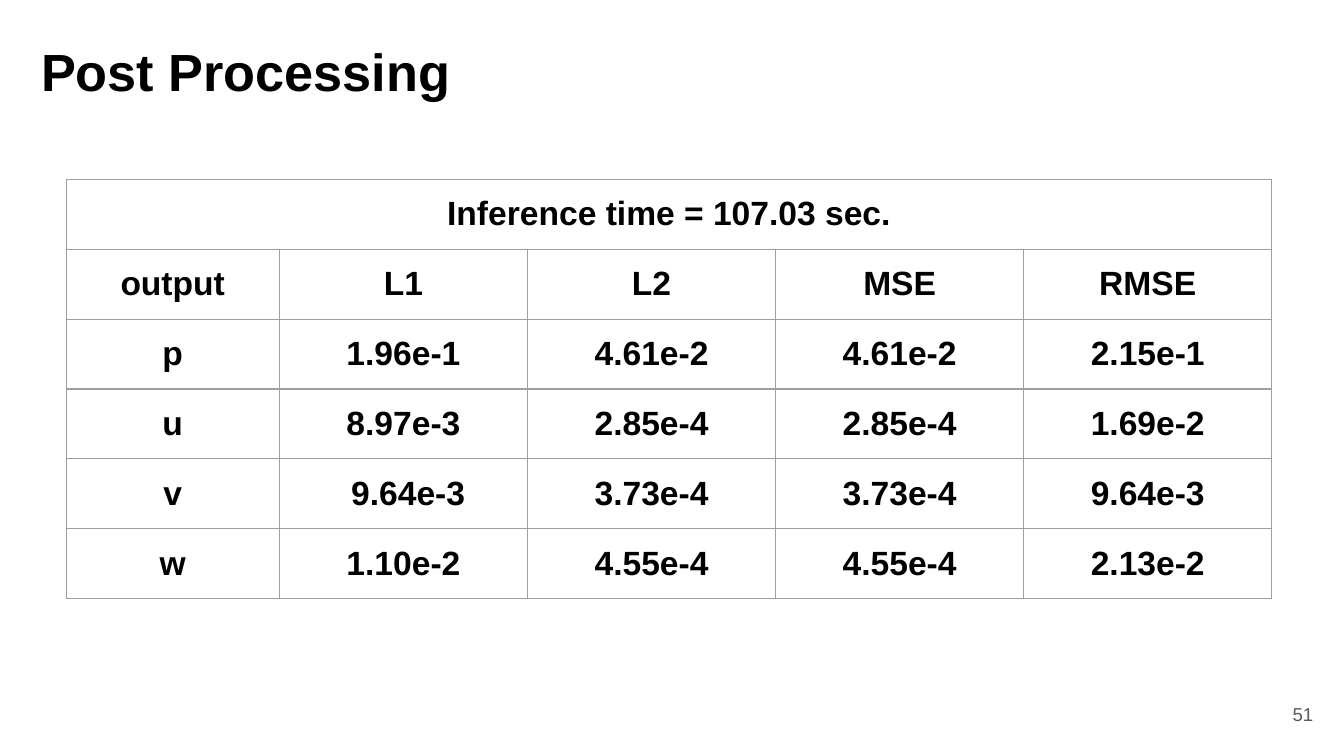
from dataclasses import dataclass

from lxml.etree import SubElement
from pptx import Presentation
from pptx.dml.color import RGBColor
from pptx.enum.text import MSO_ANCHOR, PP_ALIGN
from pptx.oxml.ns import qn
from pptx.util import Cm, Pt


@dataclass(frozen=True)
class Theme:
    """Colours, font and type sizes of the slide."""
    font: str = "Arial"
    ink: str = "000000"
    muted: str = "595959"
    rule: str = "9E9E9E"
    line: float = 0.75
    title: int = 28
    body: int = 18
    small: int = 10
    inset: float = 0.25


THEME = Theme()
CAPTION = "Inference time = 107.03 sec."
ROWS = [
    ["output", "L1", "L2", "MSE", "RMSE"],
    ["p", "1.96e-1", "4.61e-2", "4.61e-2", "2.15e-1"],
    ["u", "8.97e-3", "2.85e-4", "2.85e-4", "1.69e-2"],
    ["v", " 9.64e-3", "3.73e-4", "3.73e-4", "9.64e-3"],
    ["w", "1.10e-2", "4.55e-4", "4.55e-4", "2.13e-2"],
]


def write(frame, text, size, color, bold, align):
    """Write one styled run into the first paragraph of a frame."""
    para = frame.paragraphs[0]
    para.alignment = align
    run = para.add_run()
    run.text = text
    font = run.font
    font.name, font.size, font.bold = THEME.font, Pt(size), bold
    font.color.rgb = RGBColor.from_string(color)


def pad(item):
    """Give a frame or cell the same inset on every side."""
    item.margin_left = item.margin_right = Cm(THEME.inset)
    item.margin_top = item.margin_bottom = Cm(THEME.inset)


def add_label(slide, box, anchor, *style):
    """Place a text box with one styled run."""
    frame = slide.shapes.add_textbox(*map(Cm, box)).text_frame
    frame.word_wrap = True
    frame.vertical_anchor = anchor
    pad(frame)
    write(frame, *style)


def add_title(slide, box):
    """Place the slide title."""
    add_label(slide, box, MSO_ANCHOR.BOTTOM, "Post Processing",
              THEME.title, THEME.ink, True, PP_ALIGN.LEFT)


def add_number(slide, box):
    """Place the page number."""
    add_label(slide, box, MSO_ANCHOR.MIDDLE, "51",
              THEME.small, THEME.muted, False, PP_ALIGN.RIGHT)


def style_cell(cell):
    """Rule all four sides of a cell and clear its fill."""
    props = cell._tc.get_or_add_tcPr()
    for side in ("lnL", "lnR", "lnT", "lnB"):
        line = SubElement(props, qn(f"a:{side}"), w=str(Pt(THEME.line)))
        fill = SubElement(line, qn("a:solidFill"))
        SubElement(fill, qn("a:srgbClr"), val=THEME.rule)
    cell.fill.background()
    cell.vertical_anchor = MSO_ANCHOR.MIDDLE
    pad(cell)


def add_errors(slide, box, first=4.03):
    """Place the error table under its merged caption row."""
    left, top, width, height = box
    count, span = len(ROWS) + 1, len(ROWS[0])
    table = slide.shapes.add_table(count, span, *map(Cm, box)).table
    table.first_row = table.horz_banding = False
    for index, col in enumerate(table.columns):
        col.width = Cm((width - first) / (span - 1) if index else first)
    for row in table.rows:
        row.height = Cm(height / count)
    for cell in table.iter_cells():
        style_cell(cell)
    table.cell(0, 0).merge(table.cell(0, span - 1))
    for r, texts in enumerate([[CAPTION], *ROWS]):
        for c, text in enumerate(texts):
            write(table.cell(r, c).text_frame, text,
                  THEME.body, THEME.ink, True, PP_ALIGN.CENTER)


def main():
    """Build and save the slide."""
    deck = Presentation()
    deck.slide_width, deck.slide_height = Cm(25.4), Cm(14.29)
    slide = deck.slides.add_slide(deck.slide_layouts[6])
    add_title(slide, (0.53, 0.76, 18.72, 1.42))
    add_number(slide, (23.55, 12.95, 1.52, 1.09))
    add_errors(slide, (1.25, 3.39, 22.79, 7.93))
    deck.save("out.pptx")


if __name__ == "__main__":
    main()
